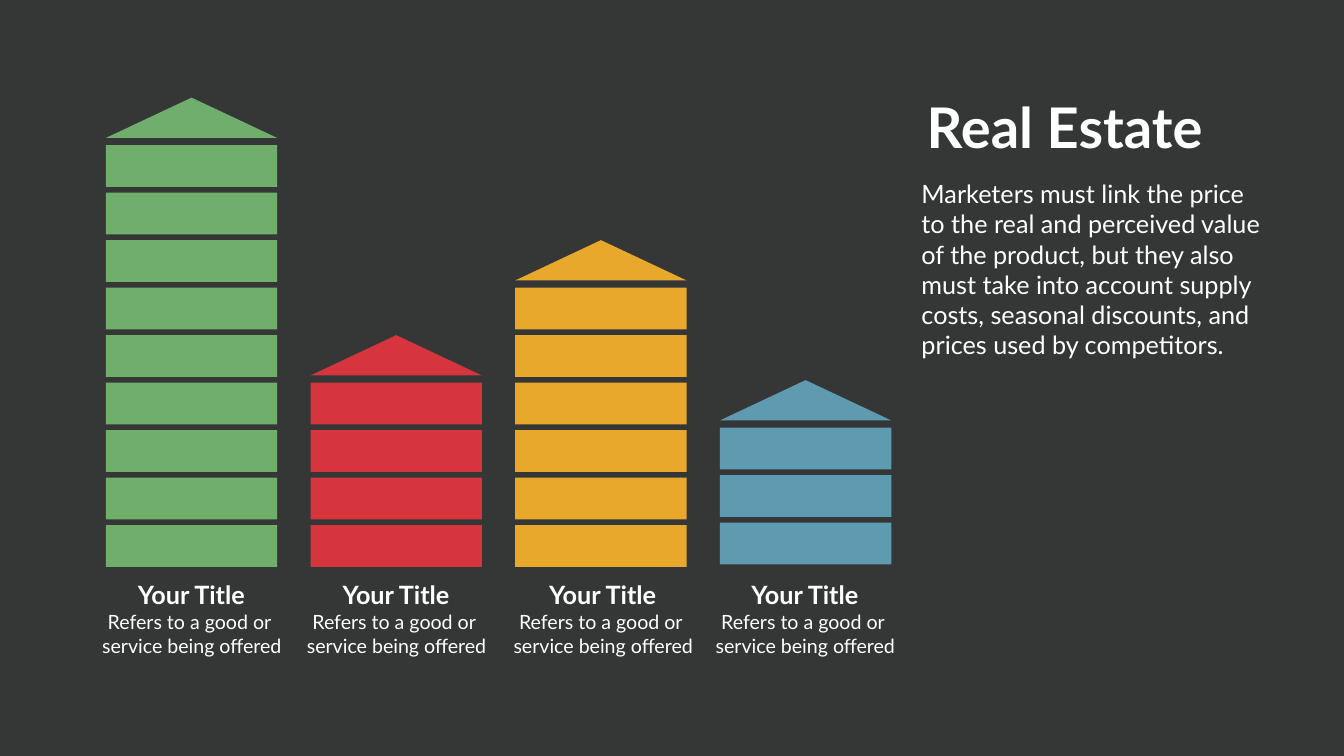
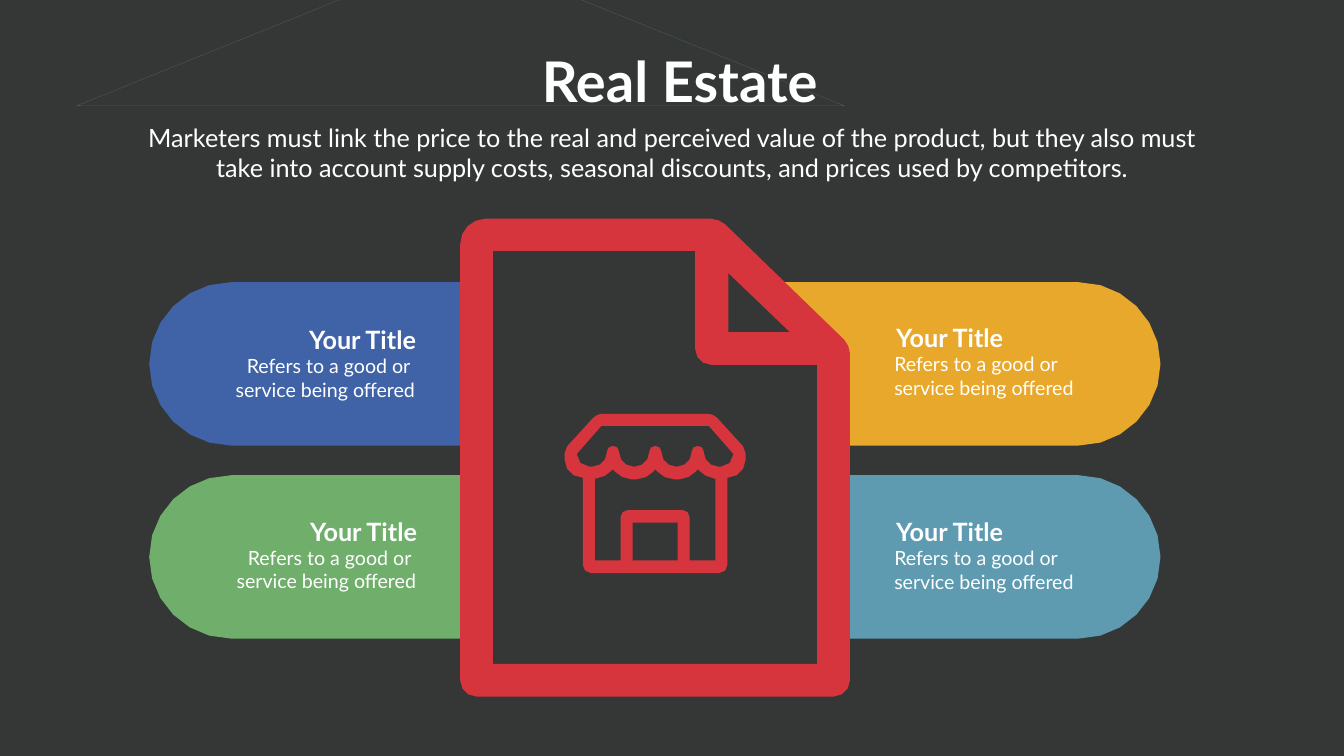
"""Build two dark real estate infographic slides."""
from math import dist, sqrt

from pptx import Presentation
from pptx.dml.color import RGBColor
from pptx.enum.shapes import MSO_SHAPE as Shape
from pptx.enum.text import PP_ALIGN as Align
from pptx.util import Pt

PX = 9144
DARK = RGBColor(0x35, 0x37, 0x37)
SOFT_WHITE = RGBColor(0xFE, 0xFF, 0xFF)
WHITE = RGBColor(0xFF, 0xFF, 0xFF)
GREEN = RGBColor(0x70, 0xAE, 0x6C)
RED = RGBColor(0xD6, 0x35, 0x3D)
AMBER = RGBColor(0xE8, 0xA8, 0x2C)
TEAL = RGBColor(0x5E, 0x9B, 0xB1)
ROOF_TEAL = RGBColor(0x57, 0x9A, 0xB2)
BLUE = RGBColor(0x3F, 0x63, 0xA6)
FONT = "Lato"

HEADING = "Real Estate "
INTRO = (
    "Marketers must link the price to the real and perceived value of the product, "
    "but they also must take into account supply costs, seasonal discounts, "
    "and prices used by competitors."
)
LABEL_TITLE = "Your Title"
LABEL_LINES = ["Refers to a good or ", "service being offered"]
SHORT_LINES = [line.strip() for line in LABEL_LINES]

BUILDINGS = [
    dict(color=GREEN, floors=9, base=1042, label_left=255),
    dict(color=RED, floors=4, base=1042, label_left=661),
    dict(color=AMBER, floors=6, base=1042, label_left=1071),
    dict(color=TEAL, floors=3, base=1037, label_left=1472),
]
FIRST_LEFT, BUILDING_PITCH, BUILDING_WIDTH = 210, 406, 340
FLOOR_PITCH, FLOOR_HEIGHT, ROOF_HEIGHT = 94.25, 83, 80

PILL_HEIGHT, PILL_END, PILL_CORNER = 324, 162, 22
PILLS = [
    (AMBER, 1299, 2302, 560, (1768, 635), Align.LEFT),
    (TEAL, 1299, 2302, 943, (1768, 1020), Align.LEFT),
    (BLUE, 1300, 296, 560, (581, 639), Align.RIGHT),
    (GREEN, 1300, 296, 943, (583, 1019), Align.RIGHT),
]

ROOF_OUTLINE = [(913, -97), (152, 210), (1675, 210)]
SHEET_BACK = [(949, 474), (949, 1358), (1658, 1358), (1658, 707), (1435, 442)]
SHEET = [
    [(913, 434, 50), (1427, 434, 16), (1686, 685, 16), (1686, 1382, 32), (913, 1382, 32)],
    [(1445, 542), (1567, 659), (1445, 659)],
    [(978, 498), (1379, 498), (1379, 724, 32), (1621, 724), (1621, 1317), (978, 1317)],
]
AWNING_POSTS = [1384, 1300, 1216]
AWNING_SCALLOPS = [
    corner
    for x in AWNING_POSTS
    for corner in [(x + 12, 926, 29), (x + 12, 885, 11), (x - 12, 885, 11), (x - 12, 926, 29)]
]
WALL_SCALLOPS = [
    corner
    for x in (1216, 1300)
    for corner in [(x, 931), (x + 16, 951, 20), (x + 68, 951, 20)]
]
STORE = [
    [(1184, 821, 10), (1415, 821, 10), (1479, 891, 8), (1479, 948, 36), (1443, 948),
     (1443, 1137, 16), (1156, 1137, 16), (1156, 948), (1120, 948, 36), (1120, 891, 8)],
    [(1255, 1112), (1255, 1037), (1344, 1037), (1344, 1112)],
    [(1368, 1112), (1368, 1012, 14), (1231, 1012, 14), (1231, 1112), (1180, 1112),
     (1180, 950), (1202, 948, 20), *WALL_SCALLOPS, (1384, 931), (1398, 948, 20),
     (1419, 950), (1419, 1112)],
    [(1193, 845), (1406, 845), (1455, 901), (1455, 926, 25), *AWNING_SCALLOPS,
     (1144, 926, 25), (1144, 901)],
]


def px(*lengths):
    return [round(length * PX) for length in lengths]


def paint(shape, color):
    shape.shadow.inherit = False
    shape.fill.solid()
    shape.fill.fore_color.rgb = color
    shape.line.fill.background()


def add_preset(page, kind, bounds, color):
    paint(page.shapes.add_shape(kind, *px(*bounds)), color)


def toward(start, end, length):
    share = length / dist(start, end)
    return tuple(a + (b - a) * share for a, b in zip(start, end))


def round_corners(corners):
    """Replace each corner that has a radius by a few points on a curve."""
    points = []
    for index, (x, y, *radius) in enumerate(corners):
        corner = (x, y)
        if not radius:
            points.append(corner)
            continue
        before = corners[index - 1][:2]
        after = corners[(index + 1) % len(corners)][:2]
        start, end = (toward(corner, other, radius[0]) for other in (before, after))
        pull_in, pull_out = (toward(point, corner, radius[0] * 0.55) for point in (start, end))
        steps = round(sqrt(radius[0]) / 2)
        for step in range(steps + 1):
            t = step / steps
            weights = ((1 - t) ** 3, 3 * t * (1 - t) ** 2, 3 * t * t * (1 - t), t ** 3)
            controls = zip(start, pull_in, pull_out, end)
            points.append(tuple(sum(w * c for w, c in zip(weights, axis)) for axis in controls))
    return points


def add_outline(page, contours, color):
    rounded = [[px(*point) for point in round_corners(contour)] for contour in contours]
    builder = page.shapes.build_freeform(*rounded[0][0])
    for index, contour in enumerate(rounded):
        if index:
            builder.move_to(*contour[0])
        builder.add_line_segments(contour[1:], close=True)
    paint(builder.convert_to_shape(), color)


def add_text(shapes, bounds, lines, size, align=Align.LEFT, bold=False, color=SOFT_WHITE):
    box = shapes.add_textbox(*px(*bounds))
    frame = box.text_frame
    frame.word_wrap = True
    for index, line in enumerate(lines):
        para = frame.add_paragraph() if index else frame.paragraphs[0]
        para.text = line
        para.alignment = align
        para.font.name = FONT
        para.font.size = Pt(size)
        para.font.bold = bold
        para.font.color.rgb = color


def add_label(shapes, title_bounds, text_bounds, align, color):
    lines = SHORT_LINES if align == Align.LEFT else LABEL_LINES
    add_text(shapes, title_bounds, [LABEL_TITLE], 36, align, True, color)
    add_text(shapes, text_bounds, lines, 28, align, False, color)


def add_page(deck):
    page = deck.slides.add_slide(deck.slide_layouts[6])
    page.background.fill.solid()
    page.background.fill.fore_color.rgb = DARK
    return page


def add_heading(page, heading_bounds, intro_bounds, intro_align):
    add_text(page.shapes, heading_bounds, [HEADING], 80, Align.CENTER, True)
    add_text(page.shapes, intro_bounds, [INTRO], 36, intro_align)


def build_towers(deck):
    page = add_page(deck)
    for index, building in enumerate(BUILDINGS):
        left = FIRST_LEFT + index * BUILDING_PITCH
        color, floors, base = building["color"], building["floors"], building["base"]
        for floor in range(floors):
            top = base - floor * FLOOR_PITCH
            add_preset(page, Shape.RECTANGLE, (left, top, BUILDING_WIDTH, FLOOR_HEIGHT), color)
        roof = (left, base - floors * FLOOR_PITCH, BUILDING_WIDTH, ROOF_HEIGHT)
        add_preset(page, Shape.ISOSCELES_TRIANGLE, roof, color)
    add_heading(page, (1819, 178, 586, 145), (1818, 349, 701, 365), Align.LEFT)
    for building in BUILDINGS:
        left = building["label_left"]
        label = page.shapes.add_group_shape()
        add_label(label.shapes, (left, 1145, 249, 51), (left - 66, 1206, 383, 106),
                  Align.CENTER, SOFT_WHITE)


def build_sheet(deck):
    page = add_page(deck)
    add_outline(page, [ROOF_OUTLINE * 2], ROOF_TEAL)
    for color, inner, outer, top, _, _ in PILLS:
        bottom = top + PILL_HEIGHT
        add_outline(page, [[(inner, top, PILL_CORNER), (outer, top, PILL_END),
                            (outer, bottom, PILL_END), (inner, bottom, PILL_CORNER)]], color)
    add_outline(page, [SHEET_BACK], DARK)
    for contours in (SHEET, STORE):
        add_outline(page, contours, RED)
    add_heading(page, (1055, 88, 587, 145), (268, 237, 2130, 131), Align.CENTER)
    for *_, (left, top), align in PILLS:
        text_left = left - (140 if align == Align.RIGHT else 4)
        add_label(page.shapes, (left, top, 254, 51), (text_left, top + 59, 392, 101), align, WHITE)


def main():
    deck = Presentation()
    deck.slide_width, deck.slide_height = px(2666, 1500)
    build_towers(deck)
    build_sheet(deck)
    deck.save("out.pptx")


if __name__ == "__main__":
    main()
